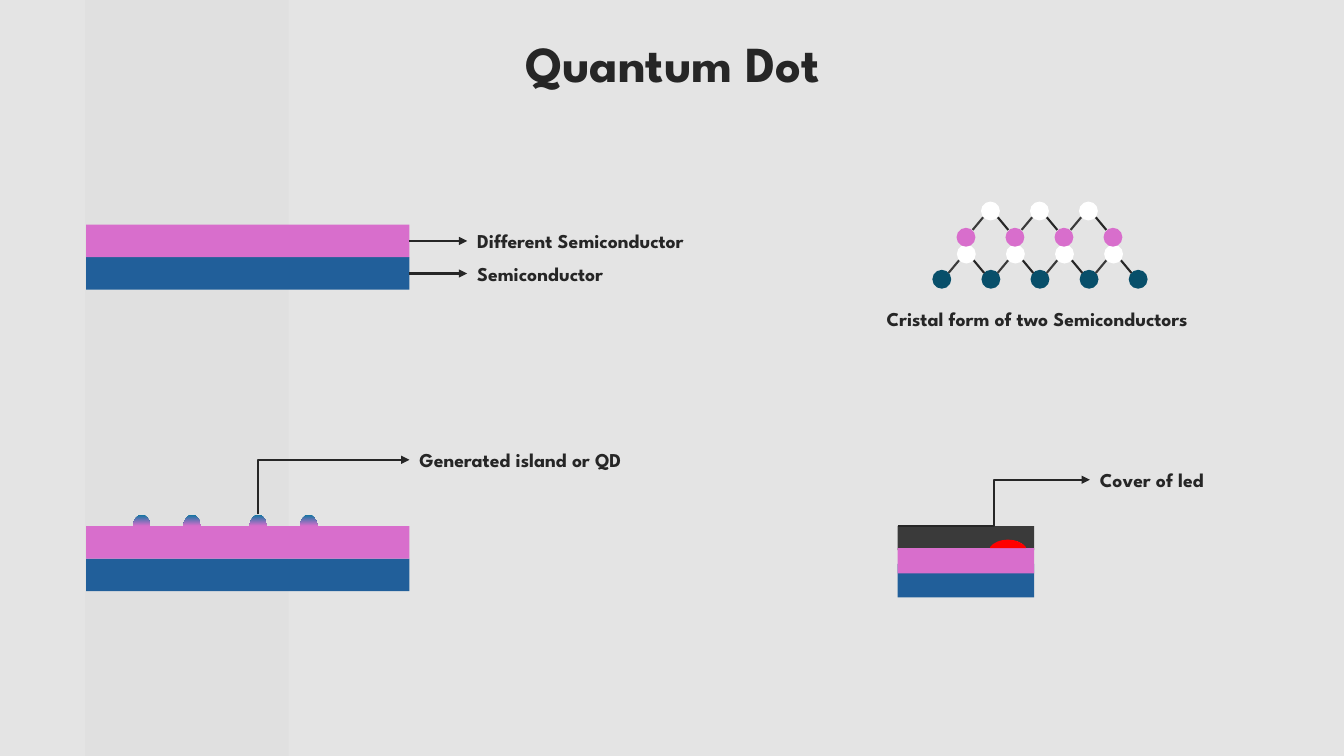
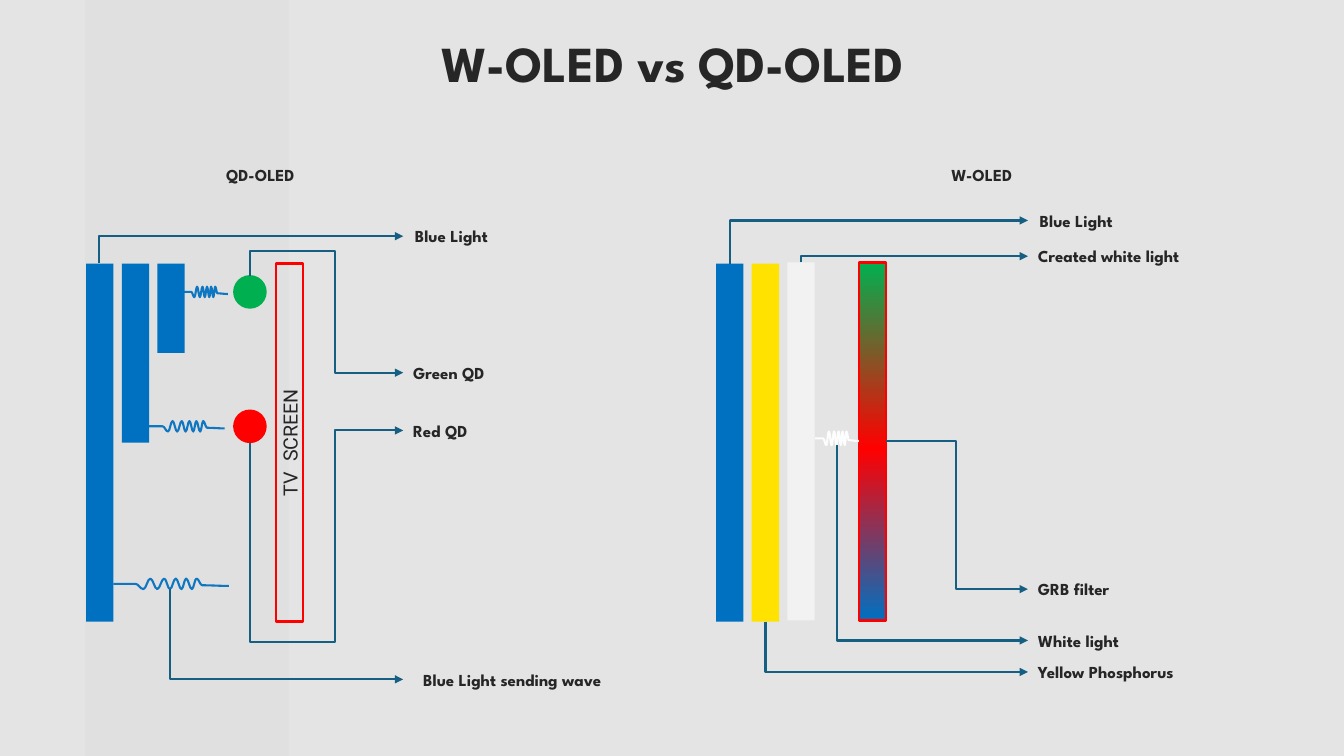
from copy import deepcopy
from dataclasses import dataclass

from lxml import etree
from pptx import Presentation
from pptx.dml.color import RGBColor
from pptx.enum.shapes import MSO_CONNECTOR, MSO_SHAPE
from pptx.enum.text import MSO_ANCHOR, PP_ALIGN
from pptx.oxml.ns import qn
from pptx.util import Emu, Pt

RECT, OVAL = MSO_SHAPE.RECTANGLE, MSO_SHAPE.OVAL
STRAIGHT, ELBOW = MSO_CONNECTOR.STRAIGHT, MSO_CONNECTOR.ELBOW
LEFT, CENTER, MIDDLE = PP_ALIGN.LEFT, PP_ALIGN.CENTER, MSO_ANCHOR.MIDDLE
TOP_SIDE_TO_BOTTOM = 270
LEFT_SIDE, RIGHT_SIDE = 1, 3
EMU_PER_PX = 9525
SLIDE_W, SLIDE_H = 1280, 720
WAFER_X, WAFER_W, LAYER_H = 82, 308, 31


@dataclass(frozen=True)
class Theme:
    ink: str = "262626"
    charcoal: str = "3A3A3A"
    veil: str = "BFBFBF"
    band: str = "808080"
    wire: str = "156082"
    white: str = "FFFFFF"
    substrate: str = "215F9A"
    pink: str = "D86ECC"
    teal: str = "084F6A"
    island: str = "0B76A0"
    blue: str = "0070C0"
    green: str = "00B050"
    red: str = "FF0000"
    yellow: str = "FFE200"
    pale: str = "F2F2F2"
    heading_font: str = "League Spartan"
    screen_font: str = "Roboto"
    title_size: int = 36
    label_size: int = 14
    small_size: int = 12
    stroke: float = 1.5


THEME = Theme()

# Wave outline as fractions of its box: lead-in, oscillation, tail
WAVE_KEYS = [(0, .5), (.19, .5), (.26, 1), (.32, 0), (.38, 1), (.44, 0), (.49, 1),
             (.54, 0), (.59, 1), (.63, 0), (.68, 1), (.72, 0), (.77, .64), (1, .7)]


def px(length):
    return Emu(round(length * EMU_PER_PX))


def rgb(color):
    return RGBColor.from_string(color)


# Paint and type
def set_alpha(paint_xml, percent):
    color = next(paint_xml.iter(qn("a:srgbClr")))
    etree.SubElement(color, qn("a:alpha"), val=str(percent * 1000))


def paint_gradient(shape, stops):
    shape.fill.gradient()
    shape.fill.gradient_angle = TOP_SIDE_TO_BOTTOM
    stop_list = next(shape._element.spPr.iter(qn("a:gsLst")))
    while len(stop_list) < len(stops):
        stop_list.append(deepcopy(stop_list[0]))
    for stop, (position, color) in zip(shape.fill.gradient_stops, stops):
        stop.position = position
        stop.color.rgb = rgb(color)


def paint(shape, fill=None, outline=None):
    """Fill with a colour, a list of gradient stops, or nothing."""
    shape.shadow.inherit = False
    if isinstance(fill, list):
        paint_gradient(shape, fill)
    elif fill:
        shape.fill.solid()
        shape.fill.fore_color.rgb = rgb(fill)
    else:
        shape.fill.background()
    if outline:
        shape.line.color.rgb = rgb(outline)
        shape.line.width = Pt(THEME.stroke)
    else:
        shape.line.fill.background()
    return shape


def write(frame, text, size, font, align, bold):
    frame.word_wrap = True
    frame.vertical_anchor = MIDDLE
    line = frame.paragraphs[0]
    line.text = text
    line.alignment = align
    line.font.name, line.font.size, line.font.bold = font, Pt(size), bold
    line.font.color.rgb = rgb(THEME.ink)


# Blocks and labels
def block(slide, x, y, w, h, fill=None, outline=None, kind=RECT):
    shape = slide.shapes.add_shape(kind, px(x), px(y), px(w), px(h))
    return paint(shape, fill, outline)


def dot(slide, center, diameter, fill):
    x, y = (c - diameter / 2 for c in center)
    return block(slide, x, y, diameter, diameter, fill, kind=OVAL)


def label(slide, text, x, mid_y, w, size, align=LEFT):
    h = size * 8 // 5 + 10
    box = slide.shapes.add_textbox(px(x), px(mid_y - h / 2), px(w), px(h))
    write(box.text_frame, text, size, THEME.heading_font, align, True)
    return box


# Lines and callouts
def wire(slide, start, end, color, kind=STRAIGHT, arrow=False):
    line = slide.shapes.add_connector(kind, *map(px, (*start, *end)))
    line.line.color.rgb = rgb(color)
    line.line.width = Pt(THEME.stroke)
    props = line._element.spPr
    if arrow:
        etree.SubElement(props.find(qn("a:ln")), qn("a:tailEnd"), type="triangle")
    etree.SubElement(props, qn("a:effectLst"))
    return line


def elbow(slide, start, tip, color, bend, turn_y):
    """Elbow arrow: across to bend first, or up or down first without a bend or with turn_y."""
    (x0, y0), (x1, y1) = start, tip
    if bend is not None and turn_y is None:
        arrow = wire(slide, start, tip, color, ELBOW, arrow=True)
        preset, shares = "bentConnector3", [(bend - x0) / (x1 - x0)]
    else:
        # A vertical start is a quarter turn of the preset about its centre
        mid_x, mid_y = (x0 + x1) / 2, (y0 + y1) / 2
        half_w, half_h = abs(y1 - y0) / 2, (x1 - x0) / 2
        arrow = wire(slide, (mid_x - half_w, mid_y - half_h),
                     (mid_x + half_w, mid_y + half_h), color, ELBOW, arrow=True)
        frame = arrow._element.spPr.find(qn("a:xfrm"))
        frame.set("flipH", "1")
        if y1 < y0:
            frame.set("flipV", "1")
        frame.set("rot", str((90 if y1 < y0 else 270) * 60000))
        preset, shares = "bentConnector2", []
        if turn_y is not None:
            preset = "bentConnector4"
            shares = [(turn_y - y0) / (y1 - y0), (bend - x0) / (x1 - x0)]
    geometry = arrow._element.spPr.find(qn("a:prstGeom"))
    geometry.set("prst", preset)
    for number, share in enumerate(shares, 1):
        etree.SubElement(geometry.find(qn("a:avLst")), qn("a:gd"),
                         name=f"adj{number}", fmla=f"val {round(share * 100000)}")


def callout(slide, text, start, tip, color, size, w, bend=None, turn_y=None, align=LEFT):
    elbow(slide, start, tip, color, bend, turn_y)
    label(slide, text, *tip, w, size, align)


# Curved outlines
def outline_shape(slide, start, moves, close):
    """Each move is one point (line) or two handles and a point (curve)."""
    builder = slide.shapes.build_freeform(*map(px, start), scale=1.0)
    builder.add_line_segments([tuple(map(px, move[-1])) for move in moves], close=close)
    shape = builder.convert_to_shape()
    for move, segment in zip(moves, list(shape._element.spPr.iter(qn("a:lnTo")))):
        if len(move) == 3:
            segment.tag = qn("a:cubicBezTo")
            for i, (x, y) in enumerate(move[:2]):
                handle = etree.Element(qn("a:pt"), x=str(px(x) - shape.left),
                                       y=str(px(y) - shape.top))
                segment.insert(i, handle)
    return shape


def arch(left, right, base_y, h):
    """Moves from the left foot over the top to the right foot."""
    mid, w, top = (left + right) / 2, right - left, base_y - h
    shoulder = base_y - h * .55
    return [((left + w * .08, shoulder), (mid - w * .23, top), (mid, top)),
            ((mid + w * .23, top), (right - w * .08, shoulder), (right, base_y))]


def dome(slide, center_x, base_y, w, h, fill):
    left, right = center_x - w / 2, center_x + w / 2
    moves = [((left, base_y - 1),), *arch(left, right, base_y - 1, h - 1),
             ((right, base_y),)]
    paint(outline_shape(slide, (left, base_y), moves, True), fill)


def wave(slide, x, y, w, h, color):
    keys = [(x + w * u, y + h * v) for u, v in WAVE_KEYS]
    moves = []
    for (x0, y0), (x1, y1) in zip(keys, keys[1:]):
        reach = (x1 - x0) * .4
        moves.append(((x0 + reach, y0), (x1 - reach, y1), (x1, y1)))
    shape = paint(outline_shape(slide, keys[0], moves, False), outline=color)
    set_alpha(shape._element.spPr.find(qn("a:ln")), 92)


# Material diagrams
def lattice(slide, left, right, base_y, apex_y, count, base_color):
    """Zigzag of atoms: count at the base, one fewer at the top."""
    pitch, atom = (right - left) / (count - 1), 18
    for i in range(count):
        dot(slide, (left + pitch * i, base_y), atom, base_color)
    for i in range(count - 1):
        x = left + pitch * (i + .5)
        dot(slide, (x, apex_y), atom, THEME.white)
        for side, color in ((-1, THEME.charcoal), (1, THEME.ink)):
            wire(slide, (x + 7 * side, apex_y + 6), (x + 17 * side, apex_y + 18), color)


def wafer(slide, top):
    """Two bonded semiconductor layers, lower one first."""
    lower = block(slide, WAFER_X, top + LAYER_H, WAFER_W, LAYER_H, THEME.substrate)
    upper = block(slide, WAFER_X, top, WAFER_W, LAYER_H, THEME.pink)
    return upper, lower


def new_slide(deck, title):
    slide = deck.slides.add_slide(deck.slide_layouts[6])
    for x, w, color, alpha in ((0, SLIDE_W, THEME.veil, 42), (81, 194, THEME.band, 4)):
        backdrop = block(slide, x, 0, w, SLIDE_H, color)
        set_alpha(backdrop._element.spPr, alpha)
    label(slide, title, 217, 59, 848, THEME.title_size, CENTER)
    return slide


# Slides
def quantum_dot(deck):
    slide = new_slide(deck, "Quantum Dot")
    size, top, island_top = THEME.label_size, 214, 501

    # Plain wafer
    names = ("Different Semiconductor", "Semiconductor")
    for i, (layer, name) in enumerate(zip(wafer(slide, top), names)):
        mid_y = top + LAYER_H * (i + .5)
        caption = label(slide, name, 445, mid_y, 256, size)
        arrow = wire(slide, (390, mid_y), (445, mid_y), THEME.ink, arrow=True)
        arrow.begin_connect(layer, RIGHT_SIDE)
        arrow.end_connect(caption, LEFT_SIDE)

    # Crystal form
    lattice(slide, 897, 1084, 266, 242, 5, THEME.teal)
    lattice(slide, 920, 1060, 226, 201, 4, THEME.pink)
    label(slide, "Cristal form of two Semiconductors", 810, 303, 356, size, CENTER)

    # Wafer with islands
    wafer(slide, island_top)
    for x in (135, 183, 246, 294):
        dome(slide, x, island_top, 17, 11, [(0, THEME.island), (1, THEME.pink)])
    callout(slide, "Generated island or QD", (246, 490), (390, 438), THEME.ink, size, 256)

    # Covered LED cell, its cover cut out above the light
    cover = [((985, 501),), ((985, 524),), ((978, 524),),
             *[move[1::-1] + (end,) for move, end in
               zip(arch(952, 978, 524, 9)[::-1], ((965, 515), (952, 524)))],
             ((855, 524),)]
    paint(outline_shape(slide, (855, 501), cover, True), THEME.charcoal)
    block(slide, 855, 537, 130, 32, THEME.substrate)
    block(slide, 855, 522, 130, 24, THEME.pink)
    dome(slide, 960, 522, 34, 8, THEME.red)
    callout(slide, "Cover of led", (855, 501), (1038, 457), THEME.ink, size, 190, bend=947)


def oled_comparison(deck):
    slide = new_slide(deck, "W-OLED vs QD-OLED")
    size, color = THEME.small_size, THEME.wire
    top, bar_w, bar_h, pitch = 251, 26, 341, 34
    for name, x in (("QD-OLED", 184), ("W-OLED", 871)):
        label(slide, name, x, 166, 128, size, CENTER)

    # QD-OLED: emitters, each half as tall as the one before, dots and screen
    for i in range(3):
        block(slide, 82 + pitch * i, top, bar_w, bar_h / 2 ** i, THEME.blue)
    for x, y, w in ((174, 273, 43), (141, 401, 73), (108, 551, 110)):
        wave(slide, x, y, w, 10, THEME.blue)
    dot_x, bend, tip_x = 238, 319, 384
    for name, dot_color, y, exit_y, turn_y, tip_y in (
            ("Green QD", THEME.green, 278, 263, 239, 355),
            ("Red QD", THEME.red, 406, 422, 611, 410)):
        dot(slide, (dot_x, y), 32, dot_color)
        callout(slide, name, (dot_x, exit_y), (tip_x, tip_y), color, size, 107, bend, turn_y)
    screen = block(slide, 263, top, bar_w, bar_h, outline=THEME.red)
    frame = screen.text_frame
    frame.margin_left = frame.margin_right = frame.margin_top = frame.margin_bottom = 0
    frame._txBody.bodyPr.set("vert", "vert270")
    write(frame, "TV  SCREEN", THEME.label_size, THEME.screen_font, CENTER, False)
    callout(slide, "Blue Light", (94, top), (tip_x, 225), color, size, 92, align=CENTER)
    callout(slide, "Blue Light sending wave", (162, 561), (tip_x, 647), color, size, 208,
            align=CENTER)

    # W-OLED: light source, phosphorus, white light and colour filter
    spectrum = [(0, THEME.green), (.52, THEME.red), (1, THEME.blue)]
    for column, y, fill, edge in ((0, top, THEME.blue, None), (1, top, THEME.yellow, None),
                                  (2, 250, THEME.pale, None), (4, 250, spectrum, THEME.red)):
        block(slide, 682 + pitch * column, y, bar_w, bar_h, fill, edge)
    wave(slide, 776, 411, 42, 13, THEME.white)
    callout(slide, "Blue Light", (695, top), (979, 210), color, size, 92, align=CENTER)
    for name, start, tip_y, turn in (
            ("Created white light", (763, 250), 244, None),
            ("GRB filter", (844, 420), 561, 911),
            ("White light", (797, 424), 610, None),
            ("Yellow Phosphorus", (729, top + bar_h), 640, None)):
        callout(slide, name, start, (979, tip_y), color, size, 176, turn)


def main():
    deck = Presentation()
    deck.slide_width, deck.slide_height = px(SLIDE_W), px(SLIDE_H)
    quantum_dot(deck)
    oled_comparison(deck)
    deck.save("out.pptx")


if __name__ == "__main__":
    main()
